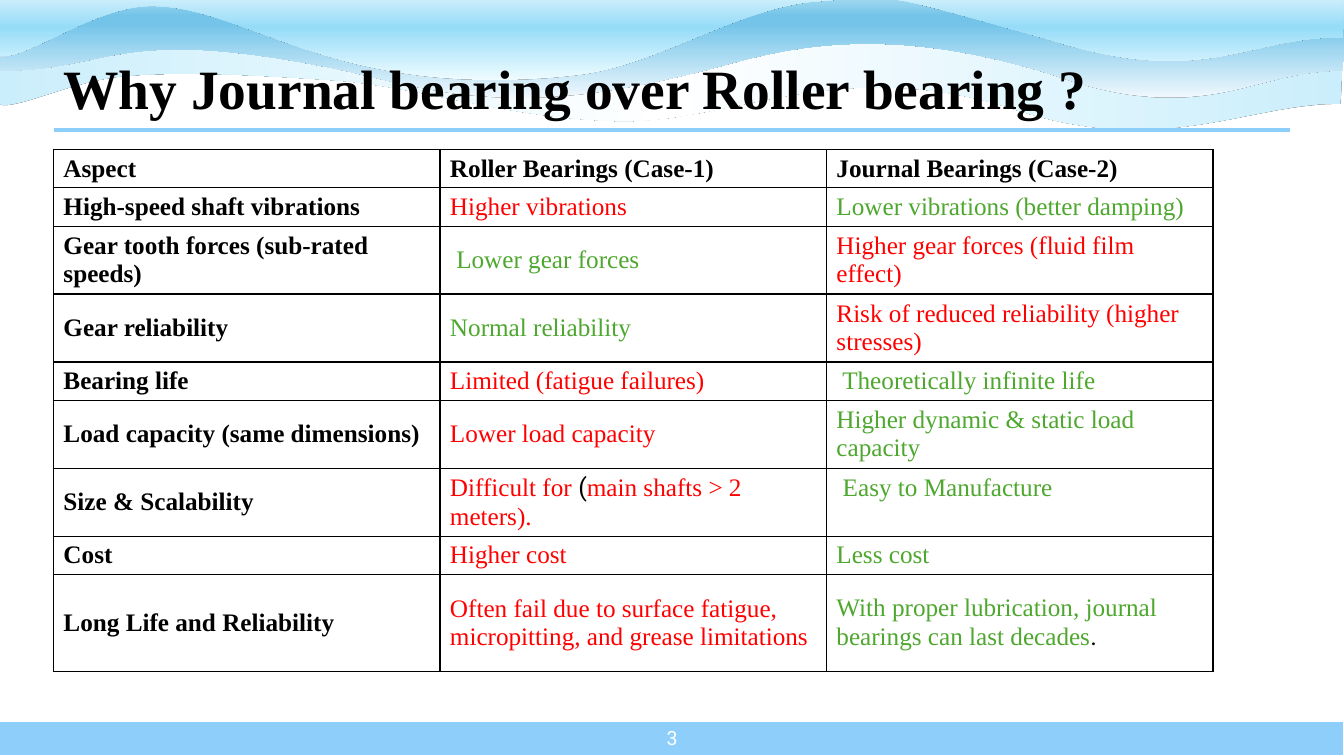
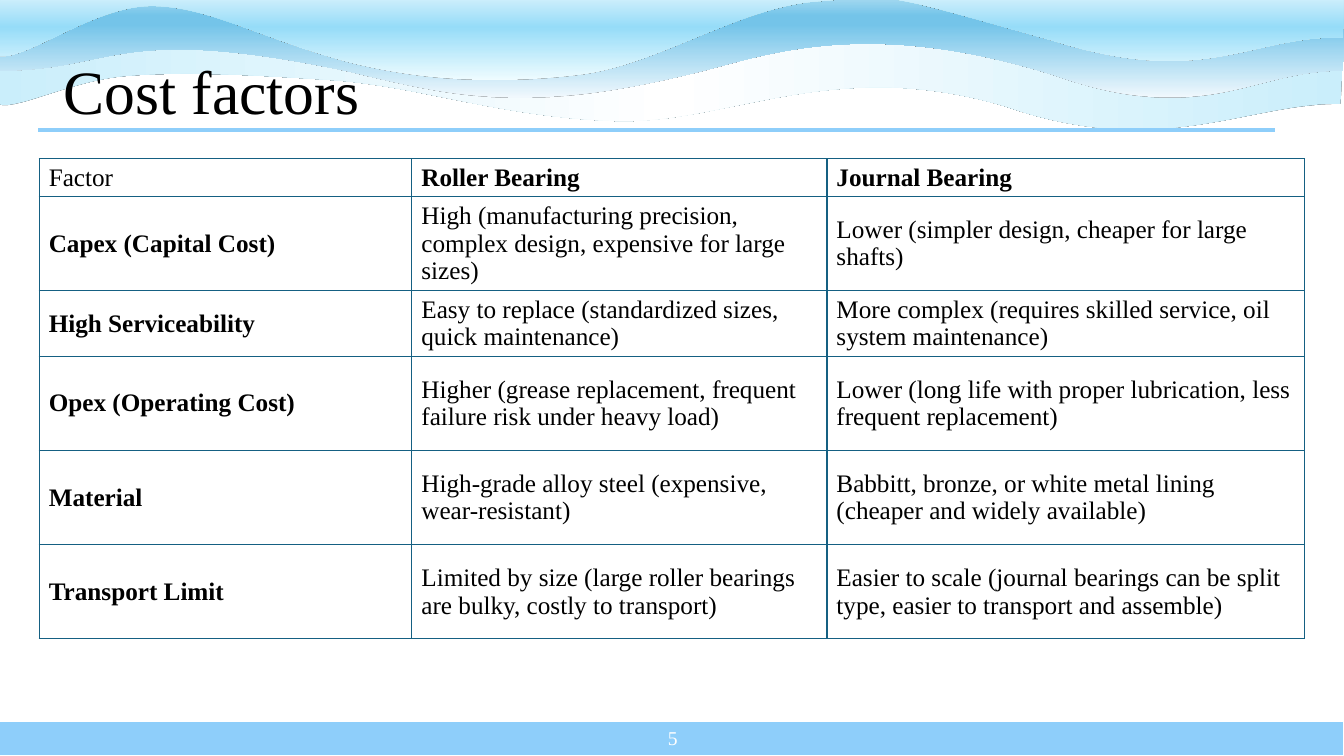
from pptx import Presentation
from pptx.dml.color import RGBColor
from pptx.enum import shapes, text
from pptx.oxml import parse_xml
from pptx.oxml.ns import nsdecls, qn
from pptx.util import Cm, Pt

SERIF, SANS = "Times New Roman", "Roboto"
BLACK, WHITE, BAND = "000000", "FFFFFF", "8ECEFA"
RED, GREEN, TEAL = "FF0000", "4EA72E", "156082"
SLIDE_W, SLIDE_H = 33.87, 19.05

WAVES = [
    {
        "start": (33.78, 2.62),
        "segments": [
            [(31.42, 2.59), (29.26, 4.04), (25.37, 2.69)],
            [(21.01, 1.37), (18.31, 3.15), (15.49, 3.05)],
            [(12.67, 2.95), (10.69, 2.21), (8.51, 2.03)],
            [(6.32, 1.88), (4.65, 1.8), (3.23, 1.91)],
            [(1.8, 2.01), (0.36, 2.82), (-0.05, 2.62)],
            [(-0.05, 2.03), (-0.1, 1.35), (-0.1, 0.76)],
            [(7.95, 0.79)], [(16.56, 0.86)], [(23.9, 0.81)], [(33.83, 0.86)],
            [(33.83, 1.4), (33.83, 2.03), (33.78, 2.62)],
        ],
        "height": 2.49,
        "stops": [(0, "CAEEFB"), (50, WHITE), (100, "CAEEFB")],
        "angle": 0,
    },
    {
        "start": (33.83, 1.78),
        "segments": [
            [(31.47, 1.78), (30.38, 3.25), (26.52, 1.88)],
            [(22.12, 0.51), (19.63, 1.27), (17.93, 1.73)],
            [(13.41, 2.9), (11.66, 2.49), (8.79, 1.8)],
            [(2.87, 0.56), (2.92, 1.78), (0, 1.78)],
            [(0, 1.19), (0.03, 0.61), (0.03, 0)],
            [(7.95, 0.03)], [(16.61, -0.03)], [(24.03, 0)], [(33.86, 0.1)],
            [(33.86, 0.66), (33.88, 1.19), (33.83, 1.78)],
        ],
        "height": 2.49,
        "stops": [(0, "F0F8FD"), (74, "74C4E9"), (83, "74C4E9"), (100, "A2D8F0")],
        "angle": 270,
    },
    {
        "start": (33.83, 0.94),
        "segments": [
            [(31.47, 0.91), (30.38, 2.24), (26.52, 1.02)],
            [(22.15, -0.2), (22.63, -0.13), (20.65, 0.03)],
            [(18.67, 0.15), (16.59, 1.63), (14.63, 1.88)],
            [(12.65, 2.13), (10.77, 2.06), (8.81, 1.57)],
            [(6.55, 0.97), (5.26, 0.15), (3.81, 0.15)],
            [(2.34, 0.15), (0.56, 1.6), (-0.08, 1.4)],
            [(-0.05, 0.86), (0.03, -0.1), (0.03, -0.64)],
            [(7.95, -0.61)], [(16.61, -0.66)], [(24.03, -0.64)], [(33.86, -0.56)],
            [(33.86, -0.08), (33.88, 0.41), (33.83, 0.94)],
        ],
        "height": 2.69,
        "stops": [(0, "EFFCFF"), (50, "96DCF8"), (100, WHITE)],
        "angle": 270,
    },
]


def rgb(value):
    return RGBColor.from_string(value)


def add_run(p, content, size, color=BLACK, font=SERIF, bold=False):
    r = p.add_run()
    r.text = content
    r.font.size = Pt(size)
    r.font.name = font
    r.font.bold = bold
    r.font.color.rgb = rgb(color)


def add_text(s, left, top, width, height):
    tf = s.shapes.add_textbox(Cm(left), Cm(top), Cm(width), Cm(height)).text_frame
    tf.word_wrap = True
    tf.vertical_anchor = text.MSO_ANCHOR.MIDDLE
    return tf.paragraphs[0]


def bend_segments(sp, segments, height):
    outline = next(sp._element.iter(qn("a:path")))
    for line, points in zip(outline.findall(qn("a:lnTo")), segments):
        if len(points) == 3:
            pts = "".join(f'<a:pt x="{Cm(x) - sp.left}" y="{Cm(y) - sp.top}"/>'
                          for x, y in points)
            curve = parse_xml(f'<a:cubicBezTo {nsdecls("a")}>{pts}</a:cubicBezTo>')
            outline.replace(line, curve)
    sp.height = Cm(height)
    outline.set("h", str(Cm(height)))


def add_wave(s, start, segments, height, stops, angle):
    builder = s.shapes.build_freeform(Cm(start[0]), Cm(start[1]))
    builder.add_line_segments([(Cm(x), Cm(y)) for *_, (x, y) in segments], close=True)
    sp = builder.convert_to_shape()
    bend_segments(sp, segments, height)
    sp.line.fill.background()
    sp.shadow.inherit = False
    sp._element.spPr.find(qn("a:effectLst")).append(parse_xml(
        f'<a:outerShdw {nsdecls("a")} blurRad="0" dist="0"><a:srgbClr val="{BLACK}"/></a:outerShdw>'))
    stop_xml = "".join(
        f'<a:gs pos="{pos * 1000}"><a:srgbClr val="{color}"/></a:gs>' for pos, color in stops)
    gradient = parse_xml(
        f'<a:gradFill {nsdecls("a")}><a:gsLst>{stop_xml}</a:gsLst>'
        f'<a:lin ang="{angle * 60000}" scaled="0"/></a:gradFill>')
    sp._element.spPr.find(qn("a:custGeom")).addnext(gradient)


def add_footer(s, number, font):
    sp = s.shapes.add_shape(shapes.MSO_SHAPE.RECTANGLE, Cm(-0.03), Cm(18.16), Cm(33.91), Cm(0.89))
    sp.shadow.inherit = False
    sp.fill.solid()
    sp.fill.fore_color.rgb = rgb(BAND)
    sp.line.color.rgb = rgb(WHITE)
    sp.line.width = Pt(1.5)
    p = add_text(s, 16.54, 18.08, 0.79, 1.02)
    p.alignment = text.PP_ALIGN.RIGHT
    add_run(p, number, 14, WHITE, font)


def add_title(s, content, size, bold, width, height, rule_left):
    p = add_text(s, 1.35, 1.4, width, height)
    p.line_spacing = 0.9
    add_run(p, content, size, bold=bold)
    rule = s.shapes.add_connector(shapes.MSO_CONNECTOR.STRAIGHT,
                                  Cm(rule_left), Cm(3.28), Cm(rule_left + 31.15), Cm(3.28))
    rule.line.color.rgb = rgb(BAND)
    rule.line.width = Pt(3)
    rule._element.spPr.append(parse_xml(f'<a:effectLst {nsdecls("a")}/>'))


def add_borders(cell, color):
    tc_pr = cell._tc.get_or_add_tcPr()
    for side in "LRTB":
        tc_pr.append(parse_xml(
            f'<a:ln{side} {nsdecls("a")} w="12700"><a:solidFill>'
            f'<a:srgbClr val="{color}"/></a:solidFill></a:ln{side}>'))


def add_grid(s, left, top, widths, heights, rows, border, side_margin, end_margin):
    frame = s.shapes.add_table(len(rows), len(widths), Cm(left), Cm(top),
                               Cm(sum(widths)), Cm(sum(heights)))
    table = frame.table
    table.first_row = table.horz_banding = False
    for column, width in zip(table.columns, widths):
        column.width = Cm(width)
    for i, (height, row) in enumerate(zip(heights, rows)):
        table.rows[i].height = Cm(height)
        for j, runs in enumerate(row):
            cell = table.cell(i, j)
            add_borders(cell, border)
            cell.fill.background()
            cell.margin_left = cell.margin_right = Cm(side_margin)
            cell.margin_top = cell.margin_bottom = Cm(end_margin)
            cell.vertical_anchor = text.MSO_ANCHOR.MIDDLE
            for content, style in runs:
                add_run(cell.text_frame.paragraphs[0], content, 18, **style)
    return table


def plain(content):
    return [(content, {})]


def head(content):
    return [(content, {"bold": True})]


def bad(content):
    return [(content, {"color": RED})]


def good(content):
    return [(content, {"color": GREEN})]


def sans(content):
    return [(content, {"font": SANS})]


def new_slide(prs, number, number_font):
    s = prs.slides.add_slide(prs.slide_layouts[6])
    for wave in WAVES:
        add_wave(s, **wave)
    add_footer(s, number, number_font)
    return s


def comparison_slide(prs):
    s = new_slide(prs, "3", SANS)
    add_title(s, "Why Journal bearing over Roller bearing ?", 39.6, True, 27.53, 1.8, 1.35)
    rows = [
        (head("Aspect"), head("Roller Bearings (Case-1)"), head("Journal Bearings (Case-2)")),
        (head("High-speed shaft vibrations"), bad("Higher vibrations"),
         good("Lower vibrations (better damping)")),
        (head("Gear tooth forces (sub-rated speeds)"), good(" Lower gear forces"),
         bad("Higher gear forces (fluid film effect)")),
        (head("Gear reliability"), good("Normal reliability"),
         bad("Risk of reduced reliability (higher stresses)")),
        (head("Bearing life"), bad("Limited (fatigue failures)"),
         good(" Theoretically infinite life")),
        (head("Load capacity (same dimensions)"), bad("Lower load capacity"),
         good("Higher dynamic & static load capacity")),
        (head("Size & Scalability"),
         bad("Difficult for ") + sans("(") + bad("main shafts > 2 meters)."),
         sans(" ") + good("Easy to Manufacture")),
        (head("Cost"), bad("Higher cost"), good("Less cost")),
        (head("Long Life and Reliability"),
         bad("Often fail due to surface fatigue, micropitting, and grease limitations"),
         good("With proper lubrication, journal bearings can last decades") + sans(".")),
    ]
    one_line, two_lines = 0.97, 1.71
    heights = [one_line, one_line, two_lines, two_lines, one_line,
               two_lines, two_lines, one_line, 2.44]
    table = add_grid(s, 1.35, 3.76, [9.74] * 3, heights, rows, BLACK, 0.25, 0.07)
    scalability = table.cell(6, 2)
    scalability.vertical_anchor = text.MSO_ANCHOR.TOP
    scalability.margin_top = Cm(0.13)


def cost_slide(prs):
    s = new_slide(prs, "5", SERIF)
    add_title(s, "Cost factors", 44, False, 22.17, 1.98, 0.97)
    rows = [
        (plain("Factor"), head("Roller Bearing"), head("Journal Bearing")),
        (head("Capex (Capital Cost)"),
         plain("High (manufacturing precision, complex design, expensive for large sizes)"),
         plain("Lower (simpler design, cheaper for large shafts)")),
        (head("High Serviceability"),
         plain("Easy to replace (standardized sizes, quick maintenance)"),
         plain("More complex (requires skilled service, oil system maintenance)")),
        (head("Opex (Operating Cost)"),
         plain("Higher (grease replacement, frequent failure risk under heavy load)"),
         plain("Lower (long life with proper lubrication, less frequent replacement)")),
        (head("Material"),
         plain("High-grade alloy steel (expensive, wear-resistant)"),
         plain("Babbitt, bronze, or white metal lining (cheaper and widely available)")),
        (head("Transport Limit"),
         plain("Limited by size (large roller bearings are bulky, costly to transport)"),
         plain("Easier to scale (journal bearings can be split type, "
               "easier to transport and assemble)")),
    ]
    heights = [0.95, 2.37, 1.66, 2.37, 2.37, 2.37]
    add_grid(s, 0.99, 4, [9.39, 10.46, 12.04], heights, rows, TEAL, 0.24, 0.02)


def main():
    prs = Presentation()
    prs.slide_width, prs.slide_height = Cm(SLIDE_W), Cm(SLIDE_H)
    comparison_slide(prs)
    cost_slide(prs)
    prs.save("out.pptx")


if __name__ == "__main__":
    main()
